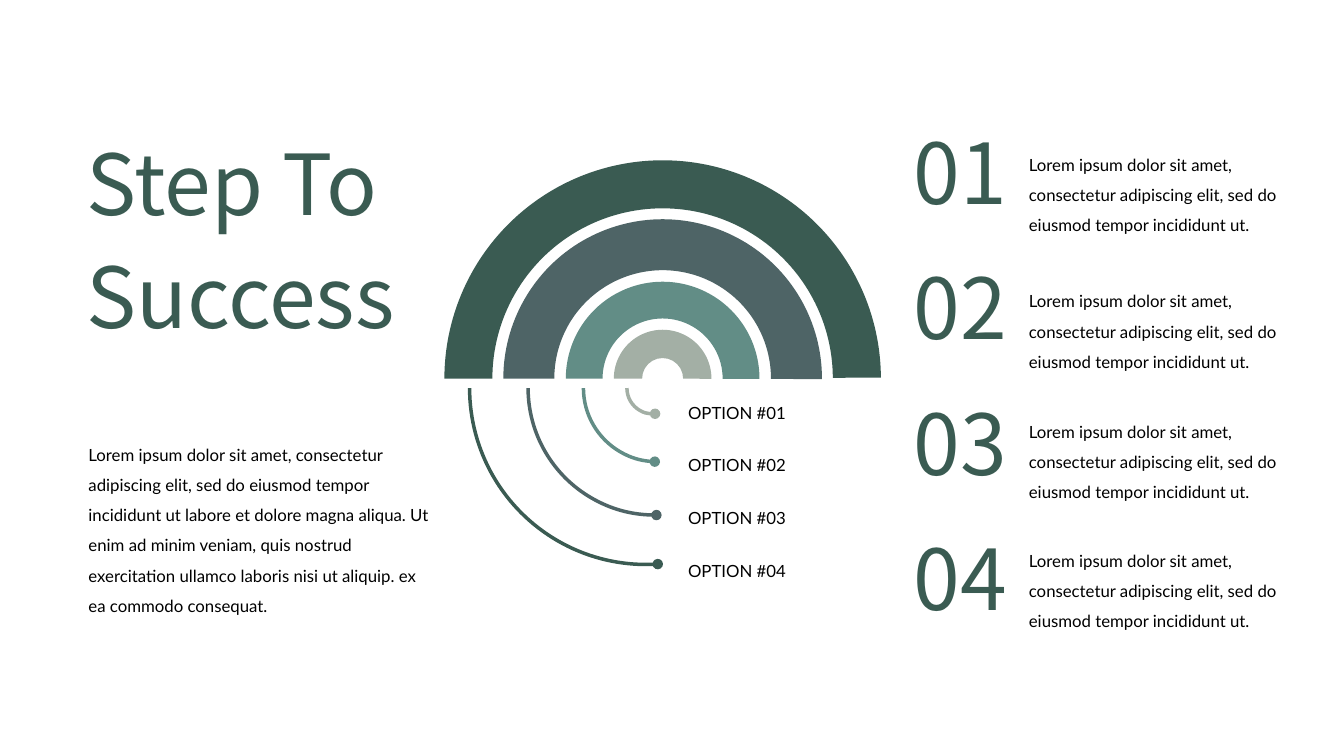
"""Build the "Step To Success" slide with a four-band arch and numbered steps."""
from lxml.etree import SubElement
from pptx import Presentation
from pptx.dml.color import RGBColor
from pptx.enum.shapes import MSO_SHAPE
from pptx.enum.text import MSO_ANCHOR, MSO_AUTO_SIZE, PP_ALIGN
from pptx.oxml.ns import qn
from pptx.util import Cm, Pt

COLORS = {"forest": "3A5B52", "slate": "4E6466", "teal": "628D86",
          "sage": "A3AFA5", "black": "000000"}
DISPLAY = {"name": "Noto Sans CJK SC", "size": Pt(60)}
BODY = {"name": "Lato", "size": Pt(12)}
STEP = ("Lorem ipsum dolor sit amet, consectetur adipiscing elit, "
        "sed do eiusmod tempor incididunt ut.")
INTRO = ("Lorem ipsum dolor sit amet, consectetur adipiscing elit, sed do eiusmod "
         "tempor incididunt ut labore et dolore magna aliqua. Ut enim ad minim veniam, "
         "quis nostrud exercitation ullamco laboris nisi ut aliquip. ex ea commodo "
         "consequat.")


def write(sp, lines, font, color, spacing):
    tf = sp.text_frame
    tf.word_wrap = True
    tf.auto_size = MSO_AUTO_SIZE.NONE
    tf.vertical_anchor = MSO_ANCHOR.TOP
    tf.text = "\n".join(lines)
    for p in tf.paragraphs:
        p.alignment = PP_ALIGN.LEFT
        p.line_spacing = spacing
        r = p.runs[0]
        for key, value in font.items():
            setattr(r.font, key, value)
        r.font.color.rgb = RGBColor.from_string(COLORS[color])


def add_text(box, text, font=BODY, color="black", spacing=1.5):
    sp = s.shapes.add_textbox(*[Cm(v) for v in box])
    write(sp, [text], font, color, spacing)


prs = Presentation()
prs.slide_width, prs.slide_height = Cm(33.87), Cm(19.05)
s = prs.slides.add_slide(prs.slide_layouts[5])

title = s.shapes.title
title.left, title.top, title.width, title.height = Cm(1.93), Cm(2.87), Cm(9.45), Cm(5.7)
write(title, ["Step To", "Success"], DISPLAY, "forest", Pt(81))
add_text((1.98, 10.82, 9.3, 4.78), INTRO)

# color, band diameter, band end, band thickness, tail centre, tail diameter, tail start
bands = [
    ("forest", 11, 215.85, 0.11, 16.28, 8.89, 159.7),
    ("slate", 8.03, 0.12, 0.16, 16.51, 6.4, 161.64),
    ("teal", 4.88, 0.13, 0.19, 16.56, 3.71, 163.06),
    ("sage", 2.46, 0.19, 0.29, 16.45, 1.3, 158.8),
]
for color, band, end, thickness, tail_x, tail, start in bands:
    rgb = RGBColor.from_string(COLORS[color])
    sp = s.shapes.add_shape(MSO_SHAPE.BLOCK_ARC, Cm(16.7 - band / 2), Cm(9.54 - band / 2),
                            Cm(band), Cm(band))
    sp.shadow.inherit = False
    for i, value in enumerate((108, end, thickness)):
        sp.adjustments[i] = value
    sp.fill.solid()
    sp.fill.fore_color.rgb = rgb
    sp.line.fill.background()

    sp = s.shapes.add_shape(MSO_SHAPE.ARC, Cm(tail_x - tail / 2), Cm(9.78 - tail / 2),
                            Cm(tail), Cm(tail))
    sp.shadow.inherit = False
    sp.adjustments[0], sp.adjustments[1] = start, 0
    sp.fill.background()
    sp.line.color.rgb = rgb
    sp.line.width = Pt(2.5)
    SubElement(sp.line._get_or_add_ln(), qn("a:headEnd"), type="oval")
    xfrm = sp._element.spPr.find(qn("a:xfrm"))
    for flip in ("flipH", "flipV"):
        xfrm.set(flip, "1")

for i, step_top in enumerate((3.51, 6.96, 10.24, 13.49)):
    number = f"{i + 1:02}"
    add_text((17.09, 9.76 + 1.33 * i, 5.99, 0.91), f"OPTION #{number}")
    add_text((22.78, 2.77 + 3.41 * i, 3.33, 2.82), number, DISPLAY, "forest", Pt(76))
    add_text((25.68, step_top, 6.81, 2.46), STEP)

prs.save("out.pptx")
